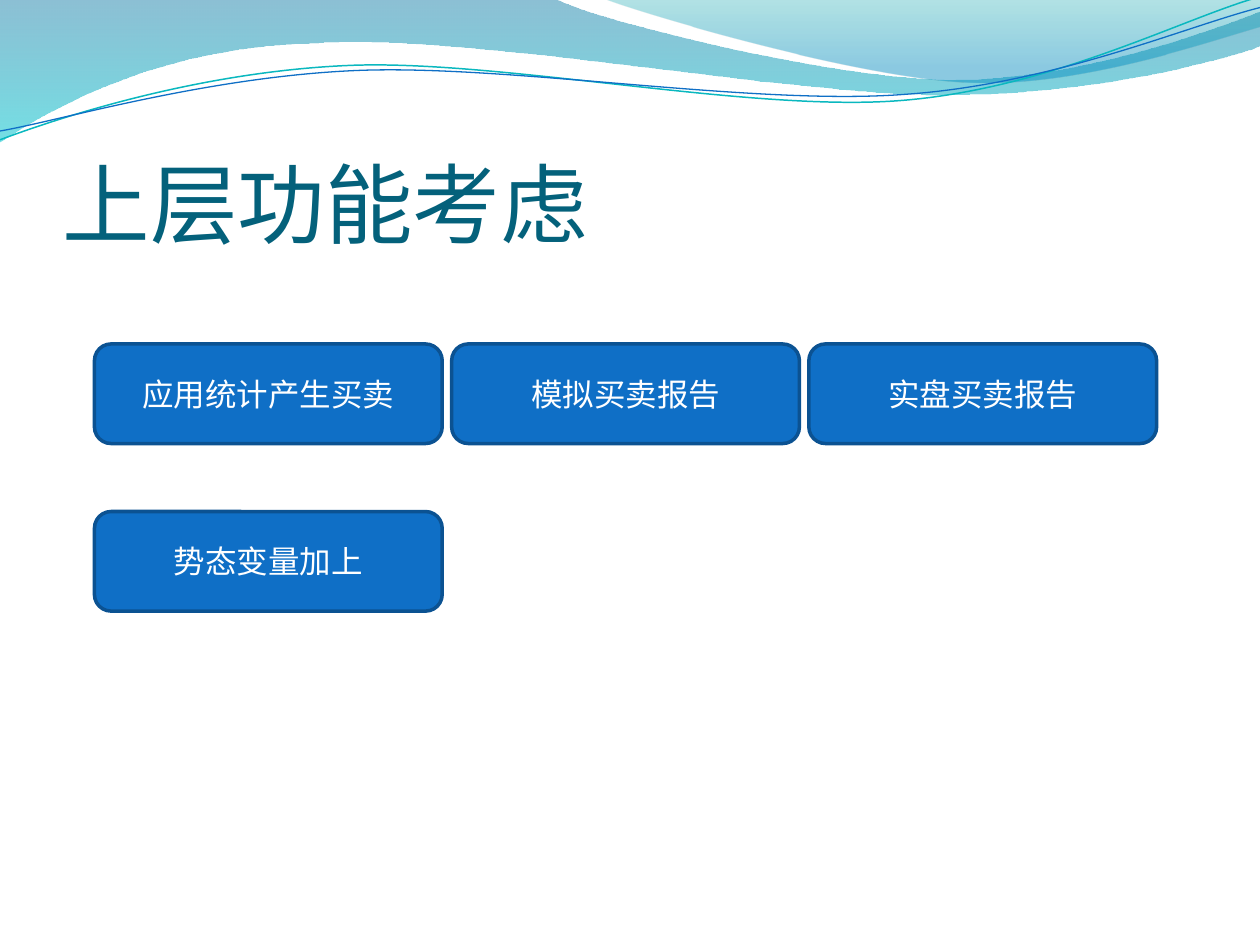
import pptx
import pptx.util
import pptx.dml.color
import pptx.enum.shapes
import pptx.enum.text
import pptx.oxml.ns
import lxml.etree

Inches = pptx.util.Inches
Pt = pptx.util.Pt
qn = pptx.oxml.ns.qn

COLORS = {
    "sea": "0074A1",
    "aqua": "00C6CF",
    "teal": "00A1A9",
    "sky": "008BBF",
    "thread": "0AB8BF",
    "blue": "0F6FC6",
    "navy": "0B5292",
    "title": "04617B",
    "white": "FFFFFF",
}

WAVE_BACK = [
    (0, 0), (4.4, -0.01),
    (4.76, 0.17, 6.64, 0.63, 7.58, 0.63),
    (8.53, 0.63, 9.58, 0.26, 10, 0.09),
    (10.01, 0.36),
    (9.83, 0.44, 8.7, 0.76, 7.46, 0.75),
    (6.22, 0.75, 3.82, 0.28, 2.57, 0.34),
    (1.29, 0.36, 0.46, 0.83, -0.01, 1.13),
    (0, 0),
]
WAVE_FRONT = [
    (4.79, -0.01),
    (5.09, 0.11, 6.82, 0.62, 7.69, 0.65),
    (8.56, 0.69, 9.61, 0.32, 10, 0.21),
    (10, 0),
    (4.79, -0.01),
]
THREAD_TEAL = [
    (0, 1.11),
    (0.48, 0.93, 1.58, 0.57, 2.77, 0.52),
    (3.95, 0.47, 5.93, 0.89, 7.13, 0.8),
    (8.33, 0.71, 9.38, 0.15, 9.98, -0.02),
]
THREAD_BLUE = [
    (0, 1.04),
    (0.47, 0.96, 1.64, 0.61, 2.83, 0.56),
    (4.03, 0.51, 5.97, 0.84, 7.17, 0.75),
    (8.36, 0.67, 9.41, 0.21, 10, 0.06),
]

BUTTON_ROWS = [
    ["应用统计产生买卖", "模拟买卖报告", "实盘买卖报告"],
    ["势态变量加上"],
]
BUTTON_LEFT, LAST_LEFT = 0.75, 6.42
BUTTON_TOP, ROW_STEP = 2.73, 1.33


def rgb(name):
    return pptx.dml.color.RGBColor.from_string(COLORS[name])


def set_attrs(obj, values):
    for name, value in values.items():
        setattr(obj, name, value)


def bend(sp, segments):
    for line, seg in zip(list(sp.element.iter(qn("a:lnTo"))), segments[1:]):
        if len(seg) == 2:
            continue
        curve = lxml.etree.Element(qn("a:cubicBezTo"))
        for x, y in zip(seg[::2], seg[1::2]):
            pt = lxml.etree.SubElement(curve, qn("a:pt"))
            pt.set("x", str(Inches(x) - sp.left))
            pt.set("y", str(Inches(y) - sp.top))
        line.getparent().replace(line, curve)


def add_outline(s, segments, close):
    points = [(Inches(seg[-2]), Inches(seg[-1])) for seg in segments]
    fb = s.shapes.build_freeform(*points[0], scale=1.0)
    fb.add_line_segments(points[1:], close=close)
    sp = fb.convert_to_shape()
    sp.shadow.inherit = False
    bend(sp, segments)
    return sp


def add_wave(s, segments, stops):
    sp = add_outline(s, segments, True)
    sp.line.fill.background()
    sp.fill.gradient()
    sp.fill.gradient_angle = 270
    for stop, (position, color, _) in zip(sp.fill.gradient_stops, stops):
        stop.position = position
        stop.color.rgb = rgb(color)
    for clr, (_, _, opacity) in zip(sp.element.spPr.iter(qn("a:srgbClr")), stops):
        alpha = lxml.etree.SubElement(clr, qn("a:alpha"))
        alpha.set("val", str(opacity * 1000))


def add_thread(s, segments, color, width):
    sp = add_outline(s, segments, False)
    sp.fill.background()
    sp.line.color.rgb = rgb(color)
    sp.line.width = Pt(width)


def write_text(sp, text, color, frame, font, align):
    tf = sp.text_frame
    set_attrs(tf, {"word_wrap": True, **frame})
    p = tf.paragraphs[0]
    p.alignment = align
    r = p.add_run()
    r.text = text
    set_attrs(r.font, font)
    r.font.color.rgb = rgb(color)


def add_title(s, text):
    sp = s.shapes.add_textbox(Inches(0.5), Inches(0.77), Inches(9), Inches(1.25))
    frame = {
        "vertical_anchor": pptx.enum.text.MSO_ANCHOR.BOTTOM,
        "margin_left": 0, "margin_right": 0,
        "margin_top": Inches(0.05), "margin_bottom": 0,
    }
    write_text(sp, text, "title", frame, {"name": "Calibri", "size": Pt(50)},
               pptx.enum.text.PP_ALIGN.LEFT)


def add_button(s, text, left, top):
    sp = s.shapes.add_shape(pptx.enum.shapes.MSO_SHAPE.ROUNDED_RECTANGLE,
                            Inches(left), Inches(top), Inches(2.76), Inches(0.79))
    sp.shadow.inherit = False
    sp.fill.solid()
    sp.fill.fore_color.rgb = rgb("blue")
    sp.line.color.rgb = rgb("navy")
    sp.line.width = Pt(2)
    write_text(sp, text, "white",
               {"vertical_anchor": pptx.enum.text.MSO_ANCHOR.MIDDLE},
               {"name": "Vollkorn", "size": Pt(18)},
               pptx.enum.text.PP_ALIGN.CENTER)


def main():
    prs = pptx.Presentation()
    set_attrs(prs, {"slide_width": Inches(10), "slide_height": Inches(7.5)})
    s = prs.slides.add_slide(prs.slide_layouts[6])

    add_wave(s, WAVE_BACK, [(0, "sea", 45), (1, "aqua", 55)])
    add_wave(s, WAVE_FRONT, [(0, "teal", 30), (0.8, "sky", 45)])
    add_thread(s, THREAD_TEAL, "thread", 0.85)
    add_thread(s, THREAD_BLUE, "blue", 0.75)

    add_title(s, "上层功能考虑")
    col_step = (LAST_LEFT - BUTTON_LEFT) / 2
    for row, labels in enumerate(BUTTON_ROWS):
        for col, label in enumerate(labels):
            add_button(s, label, BUTTON_LEFT + col * col_step, BUTTON_TOP + row * ROW_STEP)

    prs.save("out.pptx")


main()
